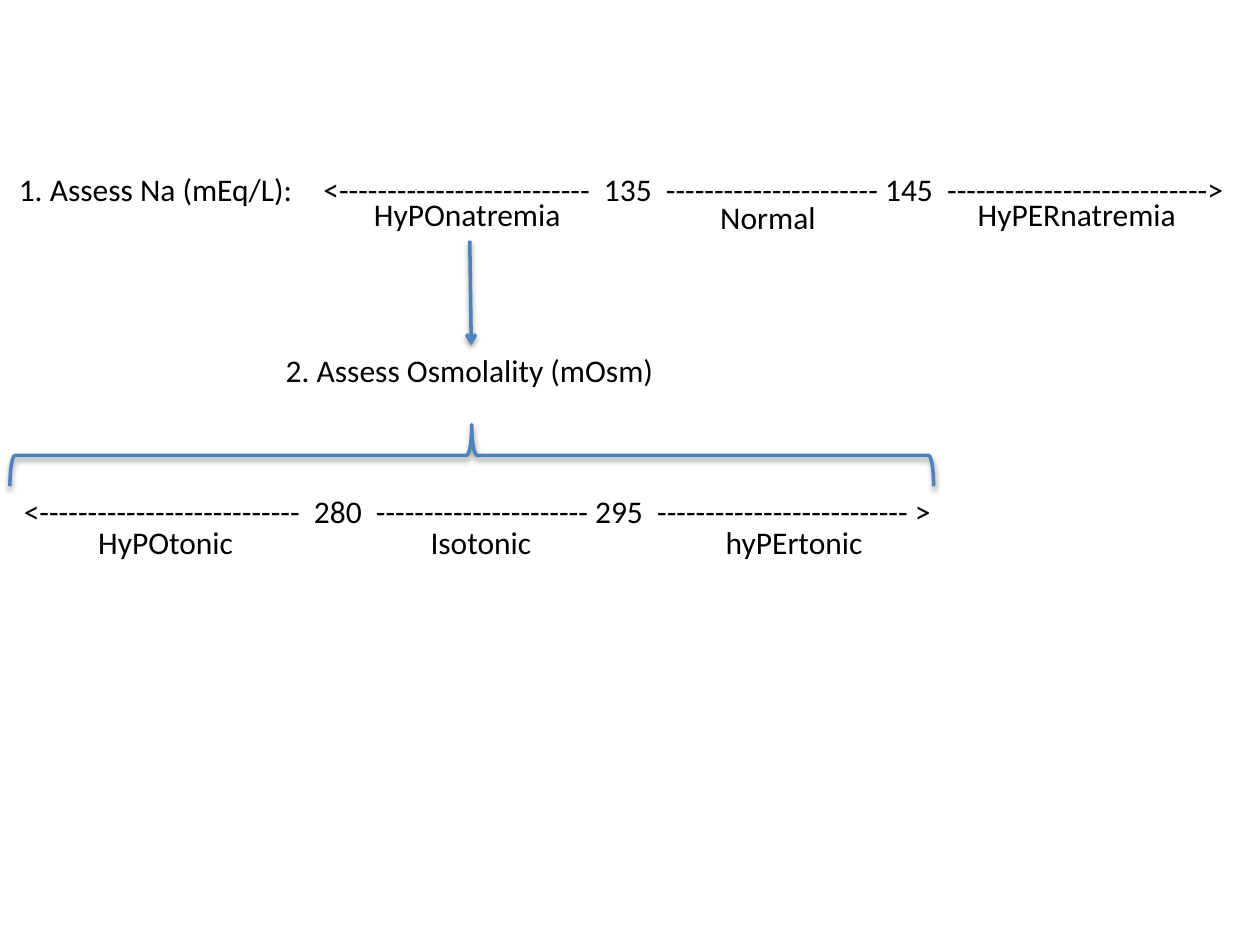
from pptx import Presentation
from pptx.dml.color import RGBColor
from pptx.enum.shapes import MSO_CONNECTOR as CONN, MSO_SHAPE as SHAPE
from pptx.enum.text import MSO_AUTO_SIZE as AUTO
from pptx.oxml import parse_xml
from pptx.oxml.ns import nsdecls
from pptx.util import Cm, Pt

BLACK, BLUE = "000000", "4F81BD"
ROWS = [
    (3.3, [
        (0.13, 6.1, "1. Assess Na (mEq/L):"),
        (6.27, 19, "<--------------------------  135  ---------------------- 145  --------------------------->"),
    ]),
    (3.81, [(7.29, 4.32, "HyPOnatremia"), (19.46, 4.57, "HyPERnatremia")]),
    (3.86, [(14.27, 2.46, "Normal")]),
    (6.96, [(5.51, 8, "2. Assess Osmolality (mOsm)")]),
    (9.8, [
        (0.23, 20.04, "<---------------------------  280  ---------------------- 295  -------------------------- >"),
    ]),
    (10.41, [(1.73, 3.28, "HyPOtonic"), (8.43, 2.57, "Isotonic"), (14.38, 3.33, "hyPErtonic")]),
]
ROW_H = 1.03
ARROW = (9.47, 4.85, 9.5, 6.96)
BRACE = {"left": 0.2, "top": 8.56, "span": 18.62, "depth": 1.24}
FONT = {"name": "Calibri", "size": Pt(18)}


def rgb(color):
    return RGBColor.from_string(color)


def add_label(s, x, y, w, text):
    tf = s.shapes.add_textbox(Cm(x), Cm(y), Cm(w), Cm(ROW_H)).text_frame
    tf.word_wrap = False
    tf.auto_size = AUTO.SHAPE_TO_FIT_TEXT
    r = tf.paragraphs[0].add_run()
    r.text = text
    for key, value in FONT.items():
        setattr(r.font, key, value)
    r.font.color.rgb = rgb(BLACK)


def style_line(sp):
    sp.line.color.rgb = rgb(BLUE)
    sp.line.width = Pt(2)
    sp._element.spPr.append(parse_xml(
        f'<a:effectLst {nsdecls("a")}>'
        f'<a:outerShdw blurRad="{Pt(3.1)}" dist="{Pt(1.6)}" dir="5400000" rotWithShape="0">'
        f'<a:srgbClr val="{BLACK}"><a:alpha val="38000"/></a:srgbClr>'
        '</a:outerShdw></a:effectLst>'))


def add_arrow(s, ends):
    sp = s.shapes.add_connector(CONN.STRAIGHT, *map(Cm, ends))
    style_line(sp)
    sp.line._get_or_add_ln().append(parse_xml(f'<a:tailEnd {nsdecls("a")} type="arrow"/>'))


def add_brace(s, left, top, span, depth):
    x = left + (span - depth) / 2
    y = top - (span - depth) / 2
    sp = s.shapes.add_shape(SHAPE.LEFT_BRACE, Cm(x), Cm(y), Cm(depth), Cm(span))
    sp.rotation = 90
    sp.fill.background()
    style_line(sp)


def main():
    prs = Presentation()
    prs.slide_width, prs.slide_height = Cm(25.4), Cm(19.05)
    s = prs.slides.add_slide(prs.slide_layouts[6])
    for y, labels in ROWS:
        for x, w, text in labels:
            add_label(s, x, y, w, text)
    add_arrow(s, ARROW)
    add_brace(s, **BRACE)
    prs.save("out.pptx")


if __name__ == "__main__":
    main()
